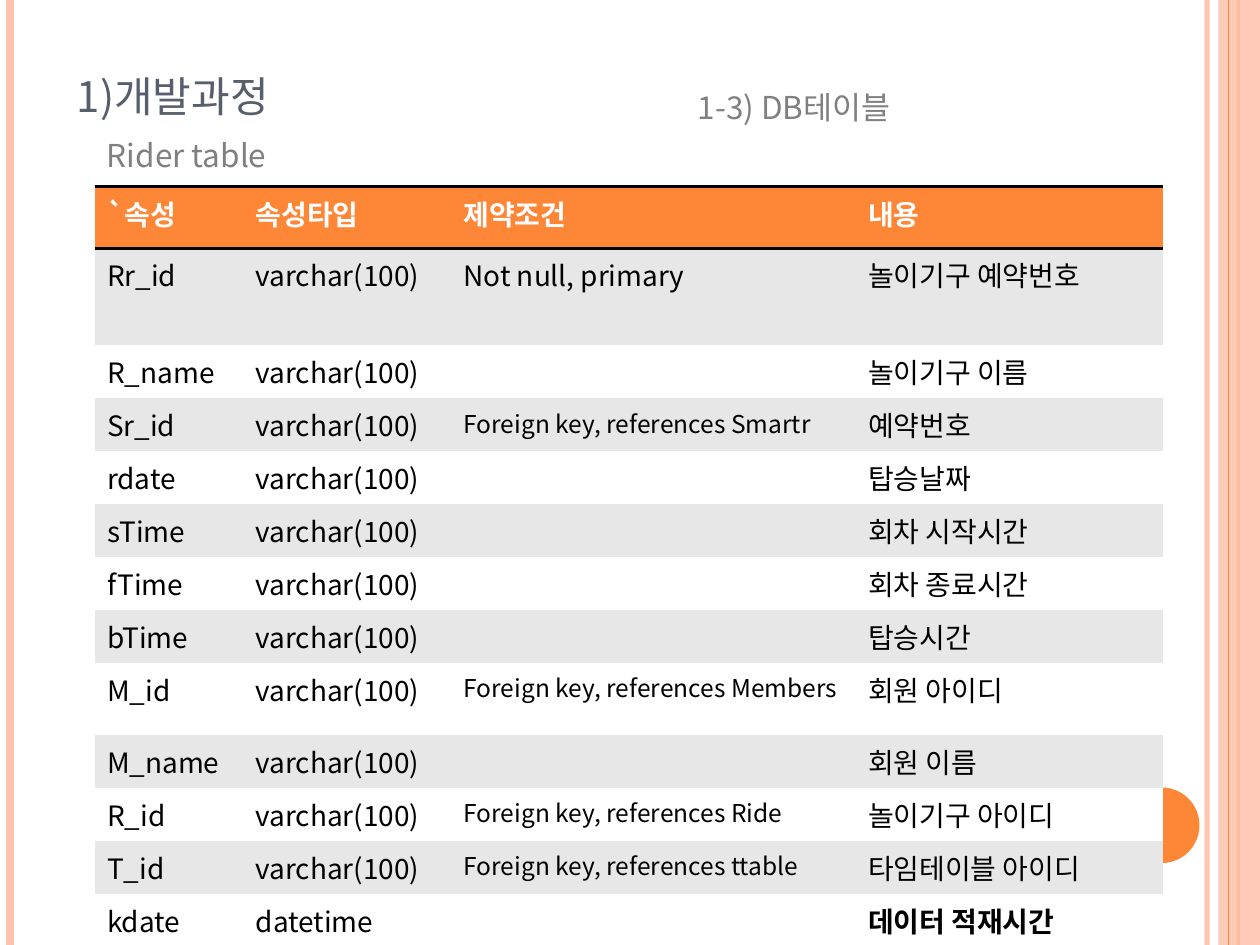
"""Build the Rider database table slide."""
from dataclasses import dataclass

from lxml.etree import SubElement
from pptx import Presentation
from pptx.dml.color import RGBColor
from pptx.enum.shapes import MSO_CONNECTOR as Connector, MSO_SHAPE as Shape
from pptx.enum.text import MSO_ANCHOR as Anchor, MSO_AUTO_SIZE as AutoSize, PP_ALIGN as Align
from pptx.oxml import parse_xml
from pptx.oxml.ns import nsdecls, qn
from pptx.util import Inches, Pt


@dataclass(frozen=True)
class Theme:
    """Colours and type sizes of the slide."""
    font: str = "Noto Sans CJK KR"
    accent: str = "FE8637"
    soft: str = "FEC3AE"
    title: str = "575F6D"
    caption: str = "808080"
    band: str = "E7E7E7"
    white: str = "FFFFFF"
    black: str = "000000"
    title_size: int = 30
    caption_size: int = 18
    body_size: int = 16
    key_size: int = 14


THEME = Theme()
NO_STYLE = "{2D5ABB26-0587-4C30-8999-92F81FD0307C}"
COLUMN_WIDTHS = (1.18, 1.65, 3.21, 2.44)
ROW_HEIGHT = 0.4
SPECIAL_HEIGHTS = {0: 0.49, 1: 0.77, 8: 0.57}
TEXT_TYPE = "varchar(100)"
KEY = "Foreign key, references "
ROWS = (
    ("`속성", "속성타입", "제약조건", "내용"),
    ("Rr_id", TEXT_TYPE, "Not null, primary", "놀이기구 예약번호"),
    ("R_name", TEXT_TYPE, "", "놀이기구 이름"),
    ("Sr_id", TEXT_TYPE, KEY + "Smartr", "예약번호"),
    ("rdate", TEXT_TYPE, "", "탑승날짜"),
    ("sTime", TEXT_TYPE, "", "회차 시작시간"),
    ("fTime", TEXT_TYPE, "", "회차 종료시간"),
    ("bTime", TEXT_TYPE, "", "탑승시간"),
    ("M_id", TEXT_TYPE, KEY + "Members", "회원 아이디"),
    ("M_name", TEXT_TYPE, "", "회원 이름"),
    ("R_id", TEXT_TYPE, KEY + "Ride", "놀이기구 아이디"),
    ("T_id", TEXT_TYPE, KEY + "ttable", "타임테이블 아이디"),
    ("kdate", "datetime", "", "데이터 적재시간"),
)


def set_attributes(target, values):
    """Set each named attribute on the target."""
    for name, value in values.items():
        setattr(target, name, value)


def set_alpha(fill, percent):
    """Make a solid fill partly transparent."""
    color = fill._xPr.find(qn("a:solidFill"))[0]
    SubElement(color, qn("a:alpha"), val=str(percent * 1000))


def add_run(paragraph, text, size, color, bold=False):
    """Add a formatted run and return it."""
    run = paragraph.add_run()
    run.text = text
    set_attributes(run.font, {"name": THEME.font, "size": Pt(size), "bold": bold})
    run.font.color.rgb = RGBColor.from_string(color)
    SubElement(run._r.get_or_add_rPr(), qn("a:ea"), typeface=THEME.font)
    return run


def add_rule(slide, x, width, color, alpha=100):
    """Add a full-height vertical line."""
    rule = slide.shapes.add_connector(
        Connector.STRAIGHT, Inches(x), Inches(0), Inches(x), Inches(7.5))
    rule.line.width = Pt(width)
    rule.line.color.rgb = RGBColor.from_string(color)
    if alpha < 100:
        set_alpha(rule.line.fill, alpha)
    SubElement(rule._element.spPr, qn("a:effectLst"))


def add_block(slide, kind, box, color, alpha=100):
    """Add a plain filled shape."""
    block = slide.shapes.add_shape(kind, *map(Inches, box))
    block.shadow.inherit = False
    block.line.fill.background()
    block.fill.solid()
    block.fill.fore_color.rgb = RGBColor.from_string(color)
    if alpha < 100:
        set_alpha(block.fill, alpha)


def add_caption(slide, box, text):
    """Add a one-line grey caption."""
    frame = slide.shapes.add_textbox(*map(Inches, box)).text_frame
    set_attributes(frame, {"word_wrap": False, "auto_size": AutoSize.SHAPE_TO_FIT_TEXT})
    add_run(frame.paragraphs[0], text, THEME.caption_size, THEME.caption)


def format_title(slide, box, text):
    """Place the title and write it in small capitals."""
    title = slide.shapes.title
    set_attributes(title, dict(zip(("left", "top", "width", "height"), map(Inches, box))))
    frame = title.text_frame
    set_attributes(frame, {"word_wrap": True, "auto_size": AutoSize.NONE,
                           "vertical_anchor": Anchor.BOTTOM})
    paragraph = frame.paragraphs[0]
    paragraph.alignment = Align.LEFT
    run = add_run(paragraph, text, THEME.title_size, THEME.title)
    run._r.get_or_add_rPr().set("cap", "small")


def add_borders(cell, sides):
    """Add black borders on the given sides, listed in T, B order."""
    properties = cell._tc.get_or_add_tcPr()
    for side in reversed(sides):
        properties.insert(0, parse_xml(
            f'<a:ln{side} {nsdecls("a")} w="{Pt(2)}"><a:solidFill>'
            f'<a:srgbClr val="{THEME.black}"/></a:solidFill></a:ln{side}>'))


def fill_cell(cell, text, fill, color, bold):
    """Fill a cell and write its text."""
    cell.fill.solid()
    cell.fill.fore_color.rgb = RGBColor.from_string(fill)
    paragraph = cell.text_frame.paragraphs[0]
    if text:
        size = THEME.key_size if text.startswith(KEY) else THEME.body_size
        add_run(paragraph, text, size, color, bold)
    else:
        end = SubElement(paragraph._p, qn("a:endParaRPr"), sz=str(THEME.body_size * 100))
        for tag in ("a:latin", "a:ea"):
            SubElement(end, qn(tag), typeface=THEME.font)


def add_rider_table(slide):
    """Add the banded table of Rider attributes."""
    frame = slide.shapes.add_table(
        len(ROWS), len(COLUMN_WIDTHS), Inches(0.75), Inches(1.48),
        Inches(sum(COLUMN_WIDTHS)), Inches(5.8))
    table = frame.table
    set_attributes(table, {"first_row": False, "horz_banding": False})
    table._tbl.tblPr.find(qn("a:tableStyleId")).text = NO_STYLE
    for column, width in zip(table.columns, COLUMN_WIDTHS):
        column.width = Inches(width)
    last = len(ROWS) - 1
    for index, texts in enumerate(ROWS):
        table.rows[index].height = Inches(SPECIAL_HEIGHTS.get(index, ROW_HEIGHT))
        header = index == 0
        fill = THEME.accent if header else THEME.band if index % 2 else THEME.white
        color = THEME.white if header else THEME.black
        for column, text in enumerate(texts):
            cell = table.cell(index, column)
            bold = header or (index == last and column == 3)
            fill_cell(cell, text, fill, color, bold)
            add_borders(cell, {0: "TB", last: "B"}.get(index, ""))


def main():
    """Build and save the slide."""
    presentation = Presentation()
    set_attributes(presentation, {"slide_width": Inches(10), "slide_height": Inches(7.5)})
    slide = presentation.slides.add_slide(presentation.slide_layouts[5])
    add_rule(slide, 9.58, 3, THEME.soft, 93)
    add_rule(slide, 0.08, 4.5, THEME.soft)
    add_rule(slide, 9.83, 1.5, THEME.accent)
    add_block(slide, Shape.RECTANGLE, (9.67, 0, 0.33, 7.5), THEME.soft, 87)
    add_rule(slide, 9.75, 0.75, THEME.accent)
    add_block(slide, Shape.OVAL, (8.92, 6.25, 0.6, 0.6), THEME.accent)
    add_rider_table(slide)
    format_title(slide, (0.51, -0.22, 8.17, 1.25), "1)개발과정")
    add_caption(slide, (5.44, 0.65, 1.87, 0.4), "1-3) DB테이블")
    add_caption(slide, (0.75, 1.03, 1.6, 0.4), "Rider table")
    presentation.save("out.pptx")


if __name__ == "__main__":
    main()
